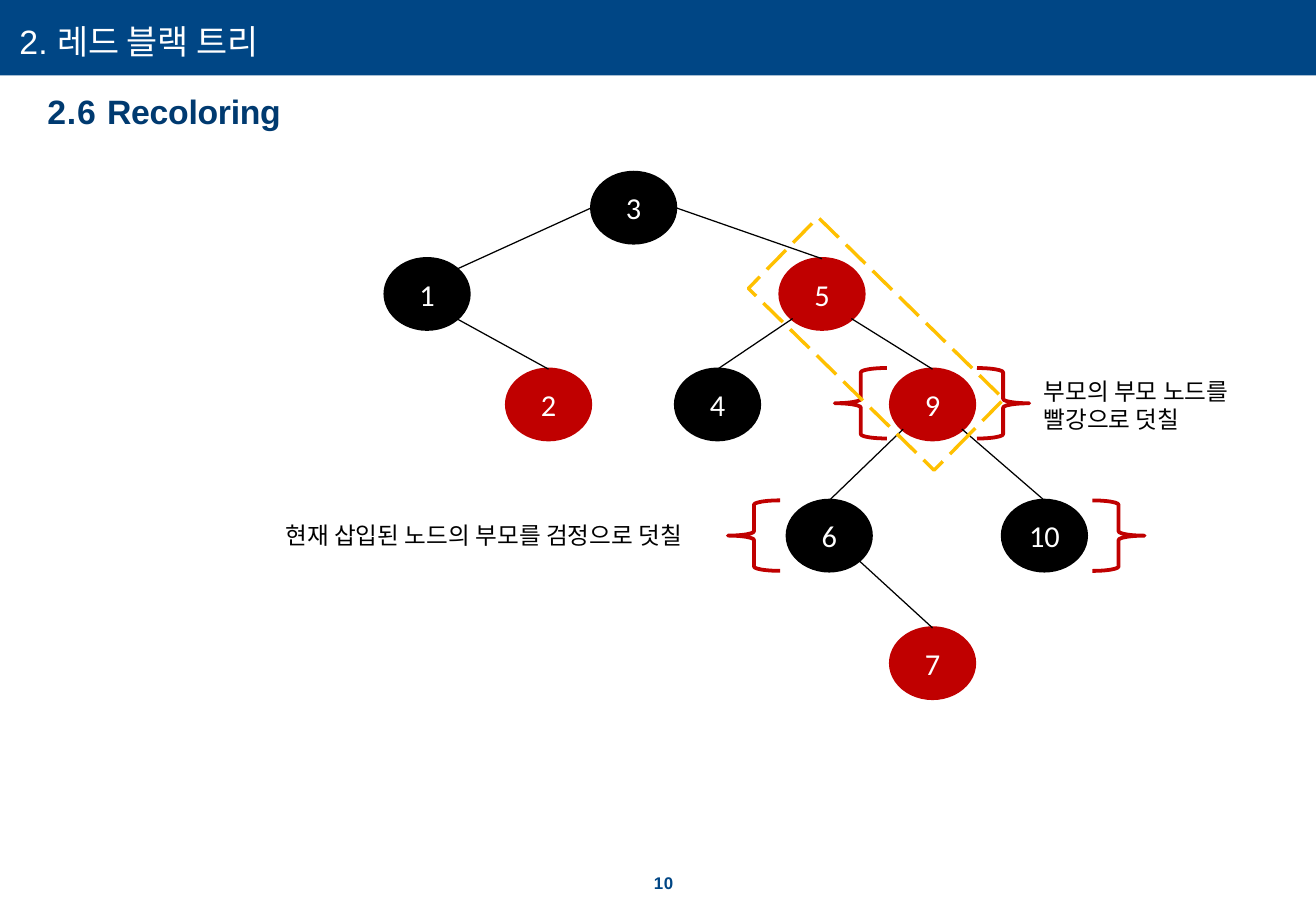
from lxml.etree import SubElement
from pptx import Presentation
from pptx.dml.color import RGBColor
from pptx.enum.dml import MSO_LINE
from pptx.enum.shapes import MSO_CONNECTOR, MSO_SHAPE
from pptx.enum.text import MSO_ANCHOR, MSO_AUTO_SIZE, PP_ALIGN
from pptx.oxml.ns import qn
from pptx.util import Inches, Pt

color = RGBColor.from_string
BLACK, RED, WHITE, BLUE, NAVY, AMBER = "000000", "C00000", "FFFFFF", "004685", "003A70", "FFC000"

presentation = Presentation()
presentation.slide_width = Inches(10.83)
presentation.slide_height = Inches(7.5)
COLUMN = presentation.slide_width / 100
ROW = presentation.slide_height / 100
slide = presentation.slides.add_slide(presentation.slide_layouts[5])
shapes = slide.shapes


def add_shape(kind, x, y, width, height, fill=None, line=None, line_width=2):
    shape = shapes.add_shape(kind, int(x * COLUMN), int(y * ROW), int(width * COLUMN), int(height * ROW))
    shape.shadow.inherit = False
    if fill:
        shape.fill.solid()
        shape.fill.fore_color.rgb = color(fill)
    else:
        shape.fill.background()
    if line:
        shape.line.color.rgb = color(line)
        shape.line.width = Pt(line_width)
    else:
        shape.line.fill.background()
    return shape


def write(shape, runs, size, font, font_color, bold=False, align=PP_ALIGN.LEFT):
    paragraph = shape.text_frame.paragraphs[0]
    paragraph.alignment = align
    for text, spacing in runs:
        run = paragraph.add_run()
        run.text = text
        run.font.size = Pt(size)
        run.font.name = font
        run.font.bold = bold
        run.font.color.rgb = color(font_color)
        if spacing:
            run._r.get_or_add_rPr().set("spc", str(spacing))
    return paragraph


header = add_shape(MSO_SHAPE.RECTANGLE, 0, 0, 100, 8.27, BLUE)
shapes._spTree.insert(2, header._element)

heading = shapes.add_textbox(0, 0, 0, 0)
page_number = shapes.add_textbox(0, 0, 0, 0)
black_label = shapes.add_textbox(0, 0, 0, 0)
red_label = shapes.add_textbox(0, 0, 0, 0)
for box, x, y, width, height, inset in [
    (shapes.title, 1.48, 2.27, 49.58, 4.53, (0, 0)),
    (heading, 3.6, 10, 61.03, 4.53, (0, 0)),
    (page_number, 49.68, 96, 1.75, 2, (0, 0)),
    (black_label, 20.78, 56.53, 34.53, 4.53, (0.1, 0.05)),
    (red_label, 78.39, 40.67, 21.7, 7.6, (0.1, 0.05)),
]:
    box.left, box.top = int(x * COLUMN), int(y * ROW)
    box.width, box.height = int(width * COLUMN), int(height * ROW)
    frame = box.text_frame
    frame.margin_left = frame.margin_right = Inches(inset[0])
    frame.margin_top = frame.margin_bottom = Inches(inset[1])
    frame.word_wrap = True
    frame.auto_size = MSO_AUTO_SIZE.NONE
    frame.vertical_anchor = MSO_ANCHOR.TOP

write(shapes.title, [("2. 레드 블랙 트리", 0)], 20, "Arial", WHITE)
write(heading, [("2.6 ", 50), ("Recoloring", -20)], 20, "Arial", NAVY, True)
write(page_number, [("10", 50)], 10, "Arial", BLUE, True).line_spacing = Pt(10.9)
write(black_label, [("현재 삽입된 노드의 부모를 검정으로 덧칠", 0)], 14, "Calibri", BLACK)
write(red_label, [("부모의 부모 노드를 빨강으로 덧칠", 0)], 14, "Calibri", BLACK)

NODE_WIDTH, NODE_HEIGHT = 6.37, 7.73
LEVELS = [18.93, 28.4, 40.53, 54.93, 68.93]
nodes = {}
for key, x, level, fill in [
    (3, 44.97, 0, BLACK),
    (1, 29.27, 1, BLACK),
    (5, 59.28, 1, RED),
    (2, 38.5, 2, RED),
    (4, 51.34, 2, BLACK),
    (9, 67.68, 2, RED),
    (6, 59.83, 3, BLACK),
    (10, 76.18, 3, BLACK),
    (7, 67.68, 4, RED),
]:
    node = add_shape(MSO_SHAPE.OVAL, x, LEVELS[level], NODE_WIDTH, NODE_HEIGHT, fill, fill)
    node.text_frame.vertical_anchor = MSO_ANCHOR.MIDDLE
    write(node, [(str(key), 0)], 18, "Calibri", WHITE, align=PP_ALIGN.CENTER)
    nodes[key] = node

SITES = {
    "top": (0.5, 0),
    "left": (0, 0.5),
    "right": (1, 0.5),
    "top right": (0.85, 0.15),
    "bottom left": (0.15, 0.85),
    "bottom right": (0.85, 0.85),
}
for parent, parent_site, child, child_site in [
    (3, "left", 1, "top right"),
    (3, "right", 5, "top"),
    (1, "bottom right", 2, "top"),
    (5, "bottom left", 4, "top"),
    (5, "bottom right", 9, "top"),
    (9, "bottom left", 6, "top"),
    (9, "bottom right", 10, "top"),
    (6, "bottom right", 7, "top"),
]:
    ends = []
    for key, site in [(parent, parent_site), (child, child_site)]:
        across, down = SITES[site]
        node = nodes[key]
        ends += [int(node.left + across * node.width), int(node.top + down * node.height)]
    edge = shapes.add_connector(MSO_CONNECTOR.STRAIGHT, *ends)
    edge.line.color.rgb = color(BLACK)
    edge.line.width = Pt(0.75)
    SubElement(edge._element.spPr, qn("a:effectLst"))

for x, y, rotation in [(55.31, 54.93, 0), (83.01, 54.93, 180), (63.43, 40.4, 0), (74.24, 40.4, 180)]:
    brace = add_shape(MSO_SHAPE.LEFT_BRACE, x, y, 3.97, NODE_HEIGHT, line=RED, line_width=2.25)
    brace.rotation = rotation

conflict_frame = add_shape(MSO_SHAPE.RECTANGLE, 62.79, 23.47, 7.57, 28.53, line=AMBER)
conflict_frame.line.dash_style = MSO_LINE.LONG_DASH
conflict_frame.rotation = 314.4

presentation.save("out.pptx")
